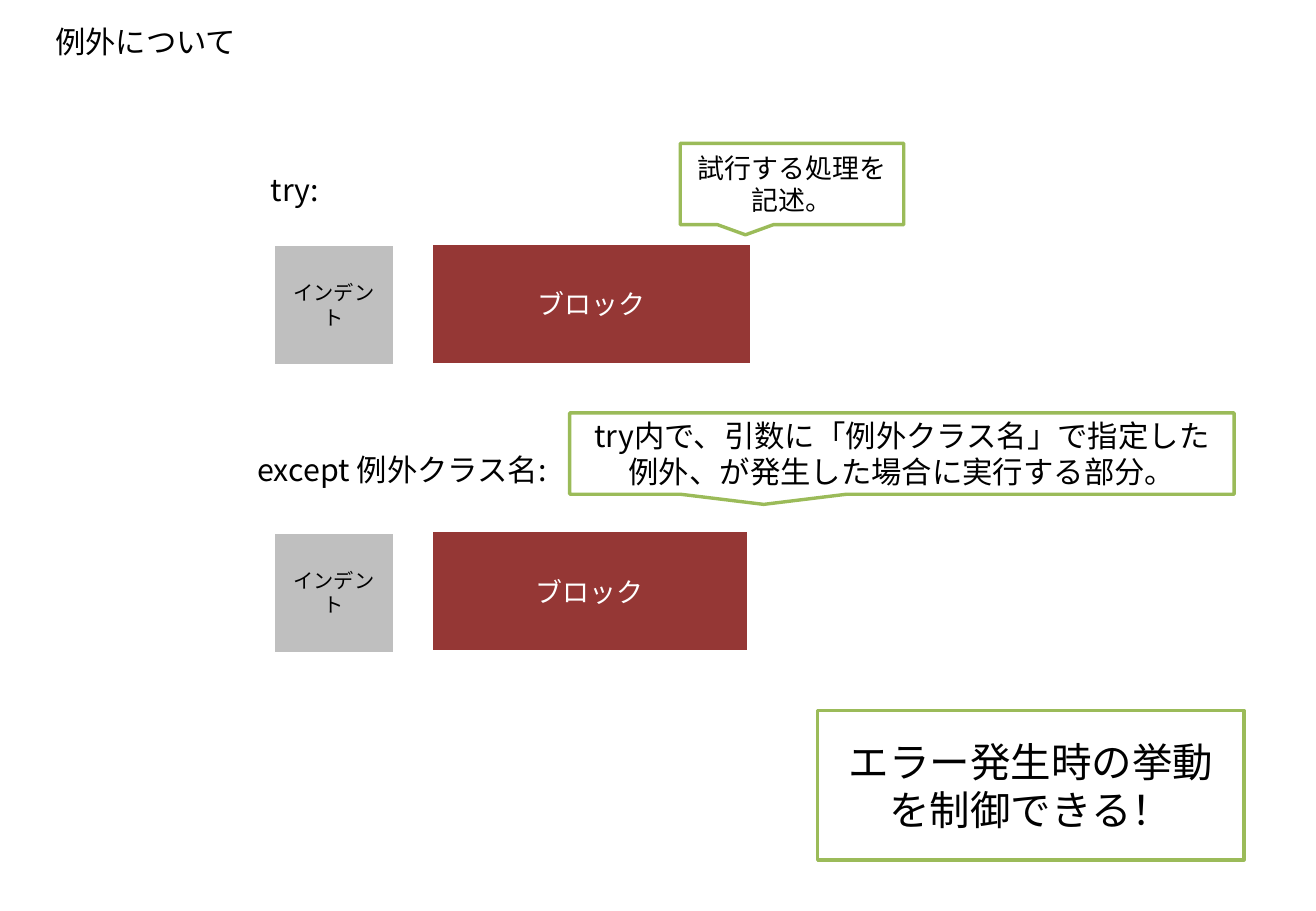
from lxml import etree
from pptx import Presentation
from pptx.dml.color import RGBColor
from pptx.enum.shapes import MSO_SHAPE
from pptx.enum.text import MSO_ANCHOR, PP_ALIGN
from pptx.oxml.ns import qn
from pptx.util import Pt

RECTANGLE = MSO_SHAPE.RECTANGLE
CALLOUT = MSO_SHAPE.RECTANGULAR_CALLOUT
LEFT, CENTER = PP_ALIGN.LEFT, PP_ALIGN.CENTER
TOP, MIDDLE = MSO_ANCHOR.TOP, MSO_ANCHOR.MIDDLE
FONT = "Noto Sans CJK JP"
BLACK, WHITE, GRAY, RED, GREEN = "000000", "FFFFFF", "BFBFBF", "953735", "9BBB59"

presentation = Presentation()
presentation.slide_width, presentation.slide_height = Pt(780), Pt(540)
slide = presentation.slides.add_slide(presentation.slide_layouts[6])


def write(shape, text, size=18, color=BLACK, align=CENTER, anchor=MIDDLE):
    frame = shape.text_frame
    frame.word_wrap = True
    frame.vertical_anchor = anchor
    paragraph = frame.paragraphs[0]
    paragraph.alignment = align
    run = paragraph.add_run()
    run.text = text
    run.font.size = Pt(size)
    run.font.color.rgb = RGBColor.from_string(color)
    run.font.name = FONT
    # Japanese glyphs take the East Asian typeface
    etree.SubElement(run.font._element, qn("a:ea"), typeface=FONT)


def add_box(kind, left, top, width, height, text, fill=WHITE, line=GREEN, **text_format):
    shape = slide.shapes.add_shape(kind, Pt(left), Pt(top), Pt(width), Pt(height))
    shape.shadow.inherit = False
    shape.fill.solid()
    shape.fill.fore_color.rgb = RGBColor.from_string(fill)
    shape.line.color.rgb = RGBColor.from_string(line)
    shape.line.width = Pt(2)
    if kind == CALLOUT:
        shape.adjustments[0], shape.adjustments[1] = -0.208, 0.625
    write(shape, text, **text_format)


# Headings
for left, top, text, align in [
    (-21.6, 10, "例外について", CENTER),
    (153.4, 98, "try:", LEFT),
    (130.3, 264.2, "except 例外クラス名:", CENTER),
]:
    label = slide.shapes.add_textbox(Pt(left), Pt(top), Pt(216), Pt(28.8))
    write(label, text, align=align, anchor=TOP)

# Indent and block of each clause
for top, block_width in [(144, 190), (314.6, 188)]:
    add_box(RECTANGLE, 162, top + 0.7, 72, 72, "インデント", fill=GRAY, line=WHITE, size=12)
    add_box(RECTANGLE, 255.6, top, block_width, 72, "ブロック",
            fill=RED, line=WHITE, size=16, color=WHITE)

# Explanations
add_box(CALLOUT, 403.2, 85, 132.5, 48.2, "試行する処理を記述。", size=16)
add_box(CALLOUT, 337.7, 244.8, 393.8, 48.2,
        "try内で、引数に「例外クラス名」で指定した例外、が発生した場合に実行する部分。")
add_box(RECTANGLE, 484.6, 421.2, 252.7, 88.6, "エラー発生時の挙動を制御できる！", size=24)

presentation.save("out.pptx")
